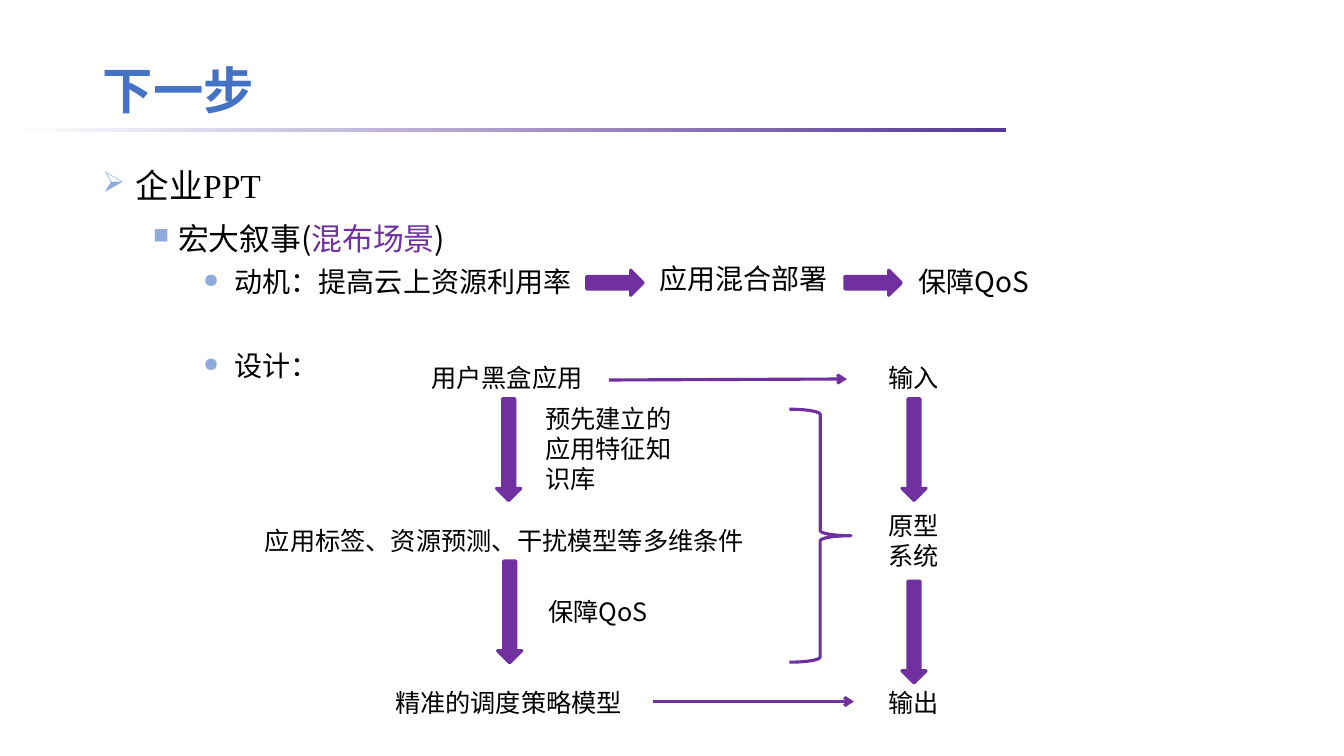
from lxml import etree
from pptx import Presentation
from pptx import util as u
from pptx.dml.color import RGBColor
from pptx.enum import shapes, text
from pptx.oxml import ns

PX = 9144  # 100 px to the inch
SANS = "Noto Sans CJK SC"
SERIF = "Times New Roman"
BLACK, BLUE, PALE_BLUE, PURPLE = "000000", "4472C4", "8FAADC", "7030A0"


def px(length):
    return u.Emu(length * PX)


def colour(value):
    return RGBColor.from_string(value)


def add_xml(parent, tag, **attributes):
    return etree.SubElement(parent, ns.qn(tag), **attributes)


class Slide:
    """Holds the drawing style and the page being filled."""

    def __init__(self, page):
        self.shapes = page.shapes
        self.accent = PURPLE
        self.stroke = u.Pt(2.25)

    def frame(self, left, top, width, height):
        box = self.shapes.add_textbox(px(left), px(top), px(width), px(height))
        box.text_frame.word_wrap = True
        return box.text_frame

    def style(self, para, size, font=SANS, ink=BLACK, bold=False):
        para.font.size = u.Pt(size)
        para.font.bold = bold
        para.font.color.rgb = colour(ink)
        para.font.name = font
        add_xml(para._p.pPr.find(ns.qn("a:defRPr")), "a:ea", typeface=SANS)

    def label(self, left, top, width, height, lines, size=18):
        frame = self.frame(left, top, width, height)
        for index, line in enumerate(lines.split("\n")):
            para = frame.add_paragraph() if index else frame.paragraphs[0]
            para.text = line
            self.style(para, size)

    def title(self, left, top, width, height, words):
        frame = self.frame(left, top, width, height)
        frame.vertical_anchor = text.MSO_ANCHOR.MIDDLE
        para = frame.paragraphs[0]
        para.text = words
        para.line_spacing = 1.2
        self.style(para, 36, SERIF, BLUE, bold=True)

    def bullet(self, para, char, percent, margin, hang):
        props = para._p.get_or_add_pPr()
        props.set("marL", str(px(margin)))
        props.set("indent", str(-px(hang)))
        add_xml(add_xml(props, "a:buClr"), "a:srgbClr", val=PALE_BLUE)
        add_xml(props, "a:buSzPct", val=str(percent * 1000))
        add_xml(props, "a:buChar", char=char)

    def outline(self, left, top, width, height, items):
        """Write a bulleted list; spans are (words, ink) pairs."""
        frame = self.frame(left, top, width, height)
        for index, (spans, size, font, before, spacing, mark) in enumerate(items):
            para = frame.add_paragraph() if index else frame.paragraphs[0]
            if before:
                para.space_before = u.Pt(before)
            if spacing:
                para.line_spacing = spacing
            self.bullet(para, *mark)
            for words, ink in spans:
                span = para.add_run()
                span.text = words
                if ink != BLACK:
                    span.font.color.rgb = colour(ink)
            self.style(para, size, font)

    def shape(self, kind, left, top, width, height):
        item = self.shapes.add_shape(kind, px(left), px(top), px(width), px(height))
        item.shadow.inherit = False
        return item

    def rule(self, left, top, width, height):
        strip = self.shape(shapes.MSO_SHAPE.RECTANGLE, left, top, width, height)
        strip.line.fill.background()
        strip.fill.gradient()
        strip.fill.gradient_angle = 0
        for stop, ink in zip(strip.fill.gradient_stops, ("FFFFFF", "543795")):
            stop.color.rgb = colour(ink)

    def pen(self, item):
        item.line.color.rgb = colour(self.accent)
        item.line.width = self.stroke

    def block_arrow(self, left, top, width, height, rotation=0):
        arrow = self.shape(shapes.MSO_SHAPE.RIGHT_ARROW, left, top, width, height)
        arrow.rotation = rotation
        arrow.fill.solid()
        arrow.fill.fore_color.rgb = colour(self.accent)
        self.pen(arrow)

    def brace(self, left, top, width, height):
        brace = self.shape(shapes.MSO_SHAPE.RIGHT_BRACE, left, top, width, height)
        brace.fill.background()
        self.pen(brace)

    def thin_arrow(self, x1, y1, x2, y2):
        arrow = self.shapes.add_connector(
            shapes.MSO_CONNECTOR.STRAIGHT, px(x1), px(y1), px(x2), px(y2))
        self.pen(arrow)
        add_xml(arrow.line._get_or_add_ln(), "a:tailEnd", type="arrow")
        add_xml(arrow._element.spPr, "a:effectLst")


def main():
    deck = Presentation()
    deck.slide_width, deck.slide_height = px(1333), px(750)
    slide = Slide(deck.slides.add_slide(deck.slide_layouts[6]))

    slide.rule(11, 127, 987, 4)
    slide.title(92, 40, 1150, 85, "下一步")
    dot = ("●", 70, 131, 31)
    slide.outline(92, 151, 1150, 587, [
        ([("企业PPT", BLACK)], 24, SERIF, 0, 1.2, ("➢", 85, 33, 33)),
        ([("宏大叙事(", BLACK), ("混布场景", PURPLE), (")", BLACK)],
         22, SANS, 10, None, ("■", 70, 75, 25)),
        ([("动机：提高云上资源利用率", BLACK)], 20, SANS, 6, None, dot),
        ([("设计：", BLACK)], 20, SANS, 36, None, dot),
    ])

    for left in (582, 838):
        slide.block_arrow(left, 268, 56, 25)
    slide.label(644, 255, 211, 44, "应用混合部署", 20)
    slide.label(901, 258, 180, 44, "保障QoS", 20)

    for left, top in ((454, 434), (455, 595), (856, 434), (856, 615)):
        slide.block_arrow(left, top, 101, 24, rotation=90)
    for left, top, width, height, lines in (
        (418, 355, 175, 40, "用户黑盒应用"),
        (531, 395, 153, 101, "预先建立的\n应用特征知识库"),
        (253, 516, 504, 40, "应用标签、资源预测、干扰模型等多维条件"),
        (534, 587, 153, 40, "保障QoS"),
        (382, 677, 247, 40, "精准的调度策略模型"),
        (871, 355, 72, 40, "输入"),
        (871, 501, 72, 71, "原型系统"),
        (871, 677, 72, 40, "输出"),
    ):
        slide.label(left, top, width, height, lines)

    slide.thin_arrow(604, 377, 840, 376)
    slide.thin_arrow(648, 696, 847, 696)
    slide.brace(783, 406, 61, 251)

    deck.save("out.pptx")


if __name__ == "__main__":
    main()
